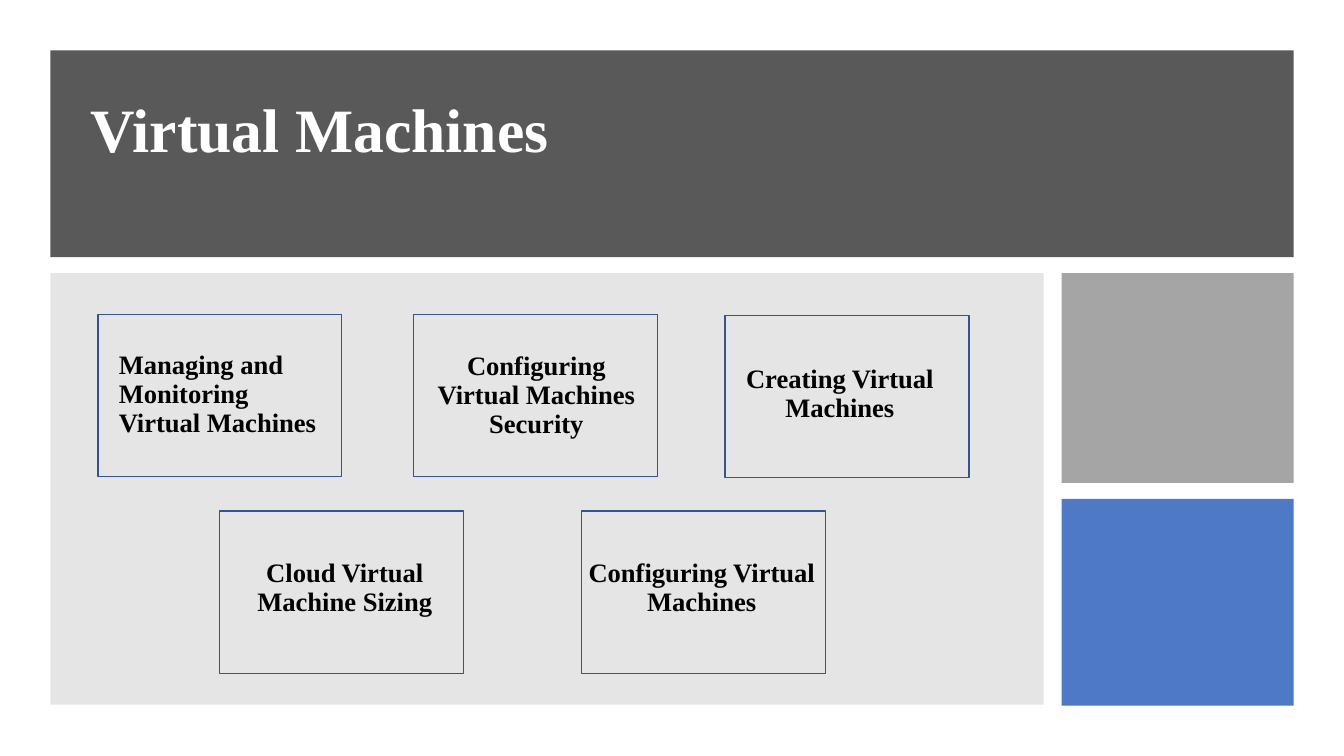
from lxml import etree
from pptx import Presentation
from pptx.dml.color import RGBColor
from pptx.enum.shapes import MSO_SHAPE
from pptx.enum.text import MSO_ANCHOR, PP_ALIGN
from pptx.oxml.ns import qn
from pptx.util import Inches, Pt

RECT = MSO_SHAPE.RECTANGLE
TOP, MIDDLE = MSO_ANCHOR.TOP, MSO_ANCHOR.MIDDLE
LEFT, CENTER = PP_ALIGN.LEFT, PP_ALIGN.CENTER
FONT = "Times New Roman"
CARD_W, CARD_H = 2.42, 1.61


def rgb(value):
    return RGBColor.from_string(value)


def add_rect(s, x, y, w, h, fill=None, alpha=None, line=None):
    sp = s.shapes.add_shape(RECT, Inches(x), Inches(y), Inches(w), Inches(h))
    sp.shadow.inherit = False
    if fill:
        sp.fill.solid()
        sp.fill.fore_color.rgb = rgb(fill)
    else:
        sp.fill.background()
    if alpha:
        color = sp.fill._xPr.find(qn("a:solidFill"))[0]
        etree.SubElement(color, qn("a:alpha"), val=str(alpha * 1000))
    if line:
        sp.line.color.rgb = rgb(line)
        sp.line.width = Pt(1)
    else:
        sp.line.fill.background()
    return sp


def add_text(s, text, x, y, w, h, size=19, color="000000", align=CENTER, anchor=TOP):
    sp = s.shapes.add_textbox(Inches(x), Inches(y), Inches(w), Inches(h))
    tf = sp.text_frame
    tf.word_wrap = True
    tf.vertical_anchor = anchor
    p = tf.paragraphs[0]
    p.alignment = align
    p.line_spacing = 0.9
    r = p.add_run()
    r.text = text
    r.font.name = FONT
    r.font.size = Pt(size)
    r.font.bold = True
    r.font.color.rgb = rgb(color)
    return sp


def add_header(s, x, y, w, h):
    add_rect(s, x, y, w, h, fill="595959")
    add_text(s, "Virtual Machines", x + 0.3, y + 0.3, 10.65, 1.03,
             size=44, color="FFFFFF", align=LEFT, anchor=MIDDLE)


def add_card(s, x, y, text, dx, dy, w=2.3, h=1.02, **fmt):
    add_rect(s, x, y, CARD_W, CARD_H, line="325491")
    add_text(s, text, x + dx, y + dy, w, h, **fmt)


def add_topics(s, x, y, w, h):
    add_rect(s, x, y, w, h, fill="808080", alpha=20)
    row1, row2 = y + 0.41, y + 2.36
    add_card(s, x + 0.47, row1, "Managing and Monitoring Virtual Machines",
             0.11, 0, h=1.59, align=LEFT, anchor=MIDDLE)
    add_card(s, x + 3.6, row1, "Configuring Virtual Machines Security", 0.07, 0.33)
    add_card(s, x + 6.69, row1 + 0.01, "Creating Virtual Machines", -0.01, 0.45)
    add_card(s, x + 1.68, row2, "Cloud Virtual Machine Sizing", 0.09, 0.43)
    add_card(s, x + 5.27, row2, "Configuring Virtual Machines", -0.18, 0.43, w=2.74)


def add_side_blocks(s, x, y, w):
    add_rect(s, x, y, w, 2.08, fill="A5A5A5")
    add_rect(s, x, y + 2.24, w, 2.05, fill="4472C4", alpha=95)


def main():
    prs = Presentation()
    prs.slide_width = Inches(13.33)
    prs.slide_height = Inches(7.5)
    s = prs.slides.add_slide(prs.slide_layouts[6])
    add_header(s, 0.5, 0.5, 12.33, 2.05)
    add_topics(s, 0.5, 2.71, 9.85, 4.28)
    add_side_blocks(s, 10.53, 2.71, 2.3)
    prs.save("out.pptx")


if __name__ == "__main__":
    main()
